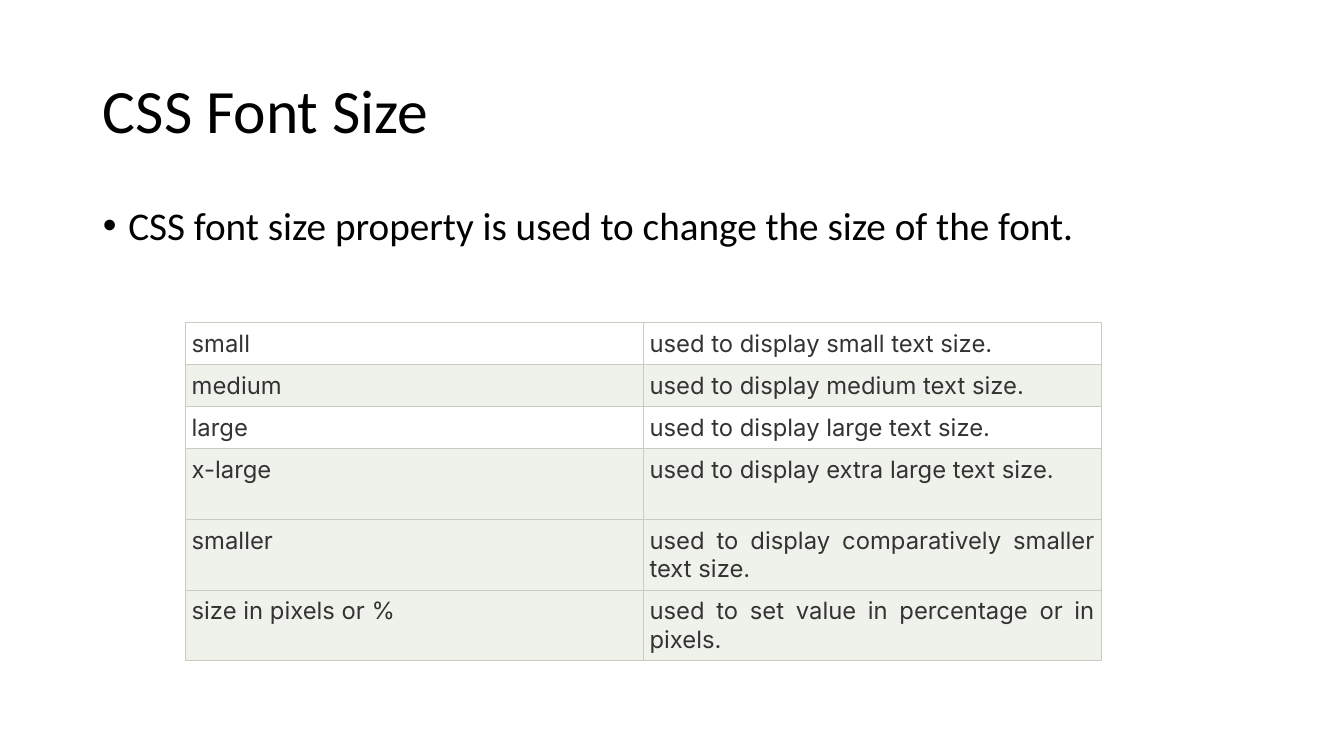
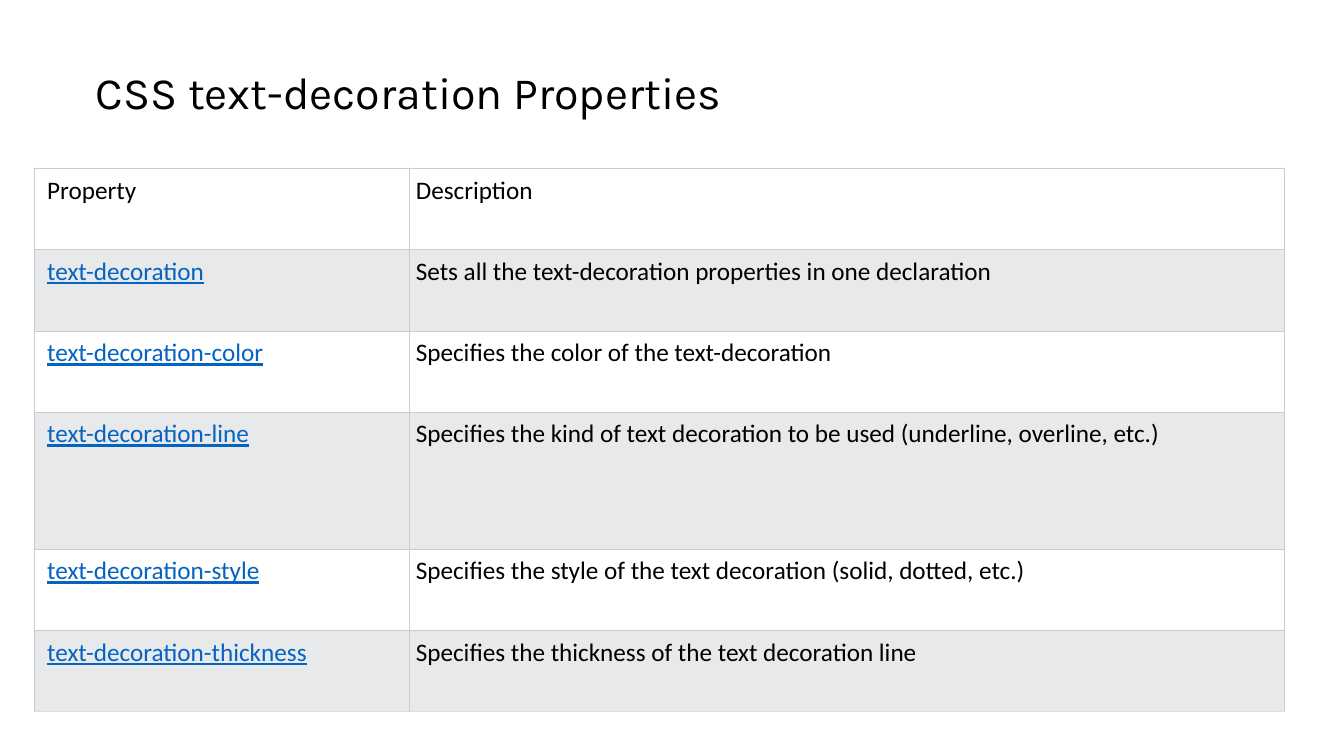
import pptx
import pptx.dml.color
import pptx.enum.text
import pptx.oxml
import pptx.oxml.ns
import pptx.util

Cm = pptx.util.Cm
Pt = pptx.util.Pt
Align = pptx.enum.text.PP_ALIGN
Anchor = pptx.enum.text.MSO_ANCHOR

BLACK, WHITE, LINK = "000000", "FFFFFF", "0563C1"
SIZE_STYLE = {
    "font": "Inter", "size": 17, "color": "333333", "align": Align.JUSTIFY,
    "inset": 0.16, "first_inset": 0.16, "border": "C7CCBE", "last_border": "C7CCBE",
}
DECORATION_STYLE = {
    "font": "Calibri", "size": 18, "color": BLACK, "align": Align.LEFT,
    "inset": 0.17, "first_inset": 0.33, "border": "CCCCCC", "last_border": "DDDDDD",
}
SIZE_ROWS = [
    ("small", "used to display small text size."),
    ("medium", "used to display medium text size."),
    ("large", "used to display large text size."),
    ("x-large", "used to display extra large text size."),
    ("smaller", "used to display comparatively smaller text size."),
    ("size in pixels or %", "used to set value in percentage or in pixels."),
]
DECORATION_ROWS = [
    ("Property", "Description"),
    ("text-decoration", "Sets all the text-decoration properties in one declaration"),
    ("text-decoration-color", "Specifies the color of the text-decoration"),
    ("text-decoration-line",
     "Specifies the kind of text decoration to be used (underline, overline, etc.)"),
    ("text-decoration-style", "Specifies the style of the text decoration (solid, dotted, etc.)"),
    ("text-decoration-thickness", "Specifies the thickness of the text decoration line"),
]


def rgb(color):
    """Turn a hex string into a colour."""
    return pptx.dml.color.RGBColor.from_string(color)


def set_font(para, name, size, color):
    """Set the font of a whole paragraph."""
    para.font.name = name
    para.font.size = Pt(size)
    para.font.color.rgb = rgb(color)


def place_text(holder, box, text, font, size, anchor, spacing=1.0):
    """Move a placeholder to its box, fill it and return its paragraph."""
    holder.left, holder.top, holder.width, holder.height = map(Cm, box)
    frame = holder.text_frame
    frame.text = text
    frame.word_wrap = True
    frame.auto_size = pptx.enum.text.MSO_AUTO_SIZE.NONE
    frame.vertical_anchor = anchor
    para = frame.paragraphs[0]
    para.alignment = Align.LEFT
    para.line_spacing = spacing
    para.space_before = Pt(0)
    return para, font, size


def add_title(page, box, text, font, size, anchor, spacing=1.0):
    """Write the page title."""
    para, name, points = place_text(page.shapes.title, box, text, font, size, anchor, spacing)
    set_font(para, name, points, BLACK)


def add_bullet(page, box, text):
    """Write the single bullet of the body."""
    para, name, points = place_text(page.placeholders[1], box, text, "Calibri", 28, Anchor.TOP, 0.9)
    props = para._p.get_or_add_pPr()
    indent = Cm(0.64)
    props.set("marL", str(indent))
    props.set("indent", str(-indent))
    namespace = pptx.oxml.ns.nsdecls("a")
    props.append(pptx.oxml.parse_xml(f'<a:buFont {namespace} typeface="Arial"/>'))
    props.append(pptx.oxml.parse_xml(f'<a:buChar {namespace} char="•"/>'))
    set_font(para, name, points, BLACK)


def add_borders(cell, color, bottom):
    """Draw the four borders of a cell."""
    props = cell._tc.get_or_add_tcPr()
    for side, shade in zip("LRTB", (color, color, color, bottom)):
        props.append(pptx.oxml.parse_xml(
            f'<a:ln{side} {pptx.oxml.ns.nsdecls("a")} w="{Pt(0.6)}">'
            f'<a:solidFill><a:srgbClr val="{shade}"/></a:solidFill></a:ln{side}>'))


def style_cell(cell, text, style, fill, first, last):
    """Write one table cell with its borders, fill and margins."""
    add_borders(cell, style["border"], style["last_border" if last else "border"])
    cell.fill.solid()
    cell.fill.fore_color.rgb = rgb(fill)
    cell.margin_left = Cm(style["first_inset" if first else "inset"])
    cell.margin_right = cell.margin_top = cell.margin_bottom = Cm(style["inset"])
    cell.text = text
    para = cell.text_frame.paragraphs[0]
    para.alignment = style["align"]
    set_font(para, style["font"], style["size"], style["color"])
    return para


def add_grid(page, box, columns, heights, rows, fills, style):
    """Add a two-column table and return the paragraphs of its first column."""
    table = page.shapes.add_table(len(rows), len(columns), *map(Cm, box)).table
    table.first_row = table.horz_banding = False
    for column, width in zip(table.columns, columns):
        column.width = Cm(width)
    labels = []
    for r, (texts, height, fill) in enumerate(zip(rows, heights, fills)):
        table.rows[r].height = Cm(height)
        paras = [style_cell(table.cell(r, c), text, style, fill, c == 0, r == len(rows) - 1)
                 for c, text in enumerate(texts)]
        labels.append(paras[0])
    return labels


def build_font_size(deck):
    """Build the slide on font sizes."""
    page = deck.slides.add_slide(deck.slide_layouts[1])
    add_title(page, (2.34, 1.02, 29.21, 3.68), "CSS Font Size", "Calibri", 44, Anchor.MIDDLE, 0.9)
    add_bullet(page, (2.34, 5.08, 29.21, 12.09),
               "CSS font size property is used to change the size of the font.")
    shade = "EFF1EB"
    add_grid(page, (4.67, 8.13, 23.08, 8.52), [11.54] * 2, [1.06] * 3 + [1.78] * 3,
             SIZE_ROWS, [WHITE, shade, WHITE] + [shade] * 3, SIZE_STYLE)


def build_text_decoration(deck):
    """Build the slide on text decoration."""
    page = deck.slides.add_slide(deck.slide_layouts[5])
    add_title(page, (2.16, 1.5, 16.94, 2.5), "CSS text-decoration Properties",
              "Karla", 32, Anchor.TOP)
    labels = add_grid(page, (0.86, 4.24, 31.52, 13.7), [9.45, 22.07],
                      [2.05] * 3 + [3.45] + [2.05] * 2,
                      DECORATION_ROWS, [WHITE, "E7E9EB"] * 3, DECORATION_STYLE)
    for label in labels[1:]:
        label.font.color.rgb = rgb(LINK)
        label.font.underline = True


def main():
    """Build and save the deck."""
    deck = pptx.Presentation()
    deck.slide_width, deck.slide_height = Cm(33.87), Cm(19.05)
    build_font_size(deck)
    build_text_decoration(deck)
    deck.save("out.pptx")


if __name__ == "__main__":
    main()
